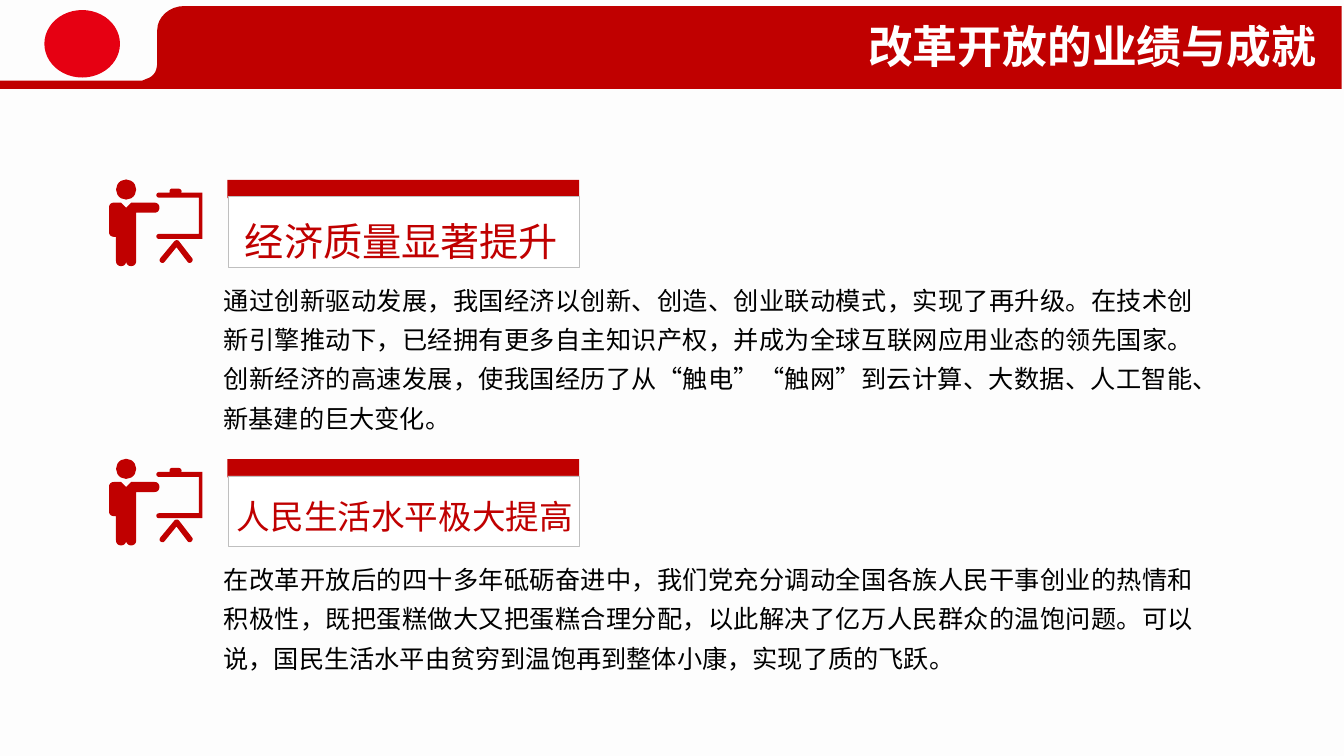
"""Builds the slide on the results of reform and opening up."""
from dataclasses import dataclass

from lxml import etree
from pptx import Presentation, util as u
from pptx.dml.color import RGBColor
from pptx.enum import shapes, text
from pptx.oxml.ns import qn


@dataclass(frozen=True)
class Theme:
    font: str = "Noto Sans CJK SC"
    background: str = "FDFDFD"
    red: str = "C00000"
    emblem: str = "E60012"
    white: str = "FFFFFF"
    black: str = "000000"
    border: str = "BFBFBF"
    title_size: int = 32
    body_size: int = 18


BANNER = [(131.8, 4.3), (958.3, 4.3), (958.3, 63.4), (-1.4, 63.4), (-1.4, 57.6),
          (101.5, 57.6), (105, 56.2), (109.4, 54.7, 110.9, 51.8, 111.6, 49.7),
          (112.3, 46.1), (112.3, 21.6), (112.3, 12.2, 121, 4.3, 131.8, 4.3)]
BODY = [(32.4, 16.6), (15.8, 16.6), (12.2, 20.2), (8.6, 16.6), (3.6, 16.6),
        (1.4, 16.6, 0, 18, 0, 20.2), (0, 37.4), (0, 39.6, 1.4, 41, 3.6, 41),
        (5, 41), (5, 58.3), (5, 60.5, 6.5, 61.9, 8.6, 61.9),
        (10.8, 61.9, 12.2, 60.5, 12.2, 58.3), (12.2, 60.5, 13.7, 61.9, 15.8, 61.9),
        (18, 61.9, 19.4, 60.5, 19.4, 58.3), (19.4, 23.8), (32.4, 23.8),
        (34.6, 23.8, 36, 22.3, 36, 20.2), (36, 18, 34.6, 16.6, 32.4, 16.6)]
BOARD = [(64.1, 9.4), (51.1, 9.4), (51.1, 9.4, 51.8, 9, 51.8, 8.6),
         (51.8, 7.2, 50.4, 6.5, 49, 6.5), (45.4, 6.5), (44, 6.5, 43.2, 7.2, 43.2, 8.6),
         (43.2, 9.4), (36, 9.4), (34.6, 9.4, 33.8, 10.1, 33.8, 11.2),
         (33.8, 12.2, 34.6, 13, 36, 13), (64.1, 13), (64.1, 38.9), (36, 38.9),
         (34.6, 38.9, 33.8, 39.6, 33.8, 40.7), (33.8, 41.8, 34.6, 42.5, 36, 42.5),
         (66.6, 42.5), (66.6, 9.4)]
TRIPOD = [(59.3, 56.2), (49.9, 44), (49.3, 43.2, 47.5, 43.2, 46.8, 44), (36.7, 56.2),
          (36, 57.2, 36, 58.3, 36.7, 59), (37.7, 59.8, 38.9, 59.8, 39.6, 59),
          (48.2, 48.4), (56.2, 59), (56.9, 59.8, 58.3, 59.8, 59, 59),
          (59.9, 58, 60, 57, 59.3, 56.2)]

SECTION_TOP, SECTION_STEP = 128.2, 199.5
SECTIONS = [
    ("经济质量显著提升", 28, (166.3, 5.7, 53.3), 121,
     "通过创新驱动发展，我国经济以创新、创造、创业联动模式，实现了再升级。在技术创新引擎推动下，"
     "已经拥有更多自主知识产权，并成为全球互联网应用业态的领先国家。创新经济的高速发展，"
     "使我国经历了从“触电”“触网”到云计算、大数据、人工智能、新基建的巨大变化。"),
    ("人民生活水平极大提高", 24, (160.6, 7.9, 46.8), 88.6,
     "在改革开放后的四十多年砥砺奋进中，我们党充分调动全国各族人民干事创业的热情和积极性，"
     "既把蛋糕做大又把蛋糕合理分配，以此解决了亿万人民群众的温饱问题。可以说，"
     "国民生活水平由贫穷到温饱再到整体小康，实现了质的飞跃。"),
]


def flatten(outline, steps=8):
    points = [outline[0]]
    for part in outline[1:]:
        if len(part) == 2:
            points.append(part)
            continue
        controls = [points[-1], part[:2], part[2:4], part[4:]]
        for step in range(1, steps + 1):
            t = step / steps
            weights = ((1 - t) ** 3, 3 * t * (1 - t) ** 2, 3 * t * t * (1 - t), t ** 3)
            points.append(tuple(sum(w * c[axis] for w, c in zip(weights, controls))
                                for axis in (0, 1)))
    return points


class SlideBuilder:
    def __init__(self, slide, theme):
        self.slide, self.theme = slide, theme
        slide.background.fill.solid()
        slide.background.fill.fore_color.rgb = RGBColor.from_string(theme.background)

    def paint(self, shape, fill, line=None):
        shape.shadow.inherit = False
        shape.fill.solid()
        shape.fill.fore_color.rgb = RGBColor.from_string(fill)
        if line:
            shape.line.color.rgb = RGBColor.from_string(line)
            shape.line.width = u.Pt(0.25)
        else:
            shape.line.fill.background()

    def preset(self, kind, box, fill, line=None, parent=None):
        parent = parent or self.slide.shapes
        self.paint(parent.add_shape(kind, *map(u.Pt, box)), fill, line)

    def outline(self, outline, fill, origin=(0, 0), parent=None):
        parent = parent or self.slide.shapes
        points = [(u.Pt(x + origin[0]), u.Pt(y + origin[1])) for x, y in flatten(outline)]
        builder = parent.build_freeform(*points[0], scale=1.0)
        builder.add_line_segments(points[1:], close=True)
        self.paint(builder.convert_to_shape(), fill)

    def set_text(self, shape, words, size, color, align, spacing=1.0, bold=False):
        frame = shape.text_frame
        frame.word_wrap = True
        frame.auto_size = text.MSO_AUTO_SIZE.NONE
        frame.vertical_anchor = text.MSO_ANCHOR.TOP
        paragraph = frame.paragraphs[0]
        paragraph.text = words
        paragraph.alignment = align
        paragraph.line_spacing = spacing
        font = paragraph.font
        font.size, font.bold, font.name = u.Pt(size), bold, self.theme.font
        font.color.rgb = RGBColor.from_string(color)
        properties = next(shape.element.iter(qn("a:defRPr")))
        properties.set("lang", "zh-CN")
        etree.SubElement(properties, qn("a:ea"), typeface=self.theme.font)
        return frame

    def text_box(self, box, *args, **style):
        shape = self.slide.shapes.add_textbox(*map(u.Pt, box))
        return self.set_text(shape, *args, **style)

    def title(self, box, words):
        shape = self.slide.shapes.title
        shape.left, shape.top, shape.width, shape.height = map(u.Pt, box)
        shape.element.getparent().append(shape.element)
        self.set_text(shape, words, self.theme.title_size, self.theme.white,
                      text.PP_ALIGN.RIGHT, bold=True)

    def presenter_icon(self, left, top):
        group = self.slide.shapes.add_group_shape().shapes
        self.preset(shapes.MSO_SHAPE.OVAL, (left + 5, top, 14.4, 14.4),
                    self.theme.red, parent=group)
        for outline in (BODY, BOARD, TRIPOD):
            self.outline(outline, self.theme.red, (left, top), group)

    def section(self, top, heading, size, heading_place, body_height, body):
        theme, rectangle = self.theme, shapes.MSO_SHAPE.RECTANGLE
        self.preset(rectangle, (162.4, top + 0.3, 251.3, 13), theme.red)
        self.preset(rectangle, (162.7, top + 12.2, 251.3, 50.4), theme.white, theme.border)
        left, offset, height = heading_place
        frame = self.text_box((left, top + offset, 266.4, height), heading, size,
                              theme.red, text.PP_ALIGN.LEFT, spacing=1.5)
        frame.margin_left = frame.margin_right = u.Pt(8.64)
        frame.margin_top = frame.margin_bottom = u.Pt(4.32)
        self.presenter_icon(77.9, top)
        self.text_box((152.6, top + 65.5, 707, body_height), body, theme.body_size,
                      theme.black, text.PP_ALIGN.JUSTIFY, spacing=1.3)


def main():
    presentation = Presentation()
    presentation.slide_width, presentation.slide_height = u.Pt(960), u.Pt(540)
    theme = Theme()
    slide = presentation.slides.add_slide(presentation.slide_layouts[5])
    builder = SlideBuilder(slide, theme)
    builder.preset(shapes.MSO_SHAPE.OVAL, (31.7, 7.2, 54, 48.2), theme.emblem)
    builder.outline(BANNER, theme.red)
    builder.title((344.2, 9.4, 603.4, 46.1), "改革开放的业绩与成就")
    for index, section in enumerate(SECTIONS):
        builder.section(SECTION_TOP + index * SECTION_STEP, *section)
    presentation.save("out.pptx")


if __name__ == "__main__":
    main()
